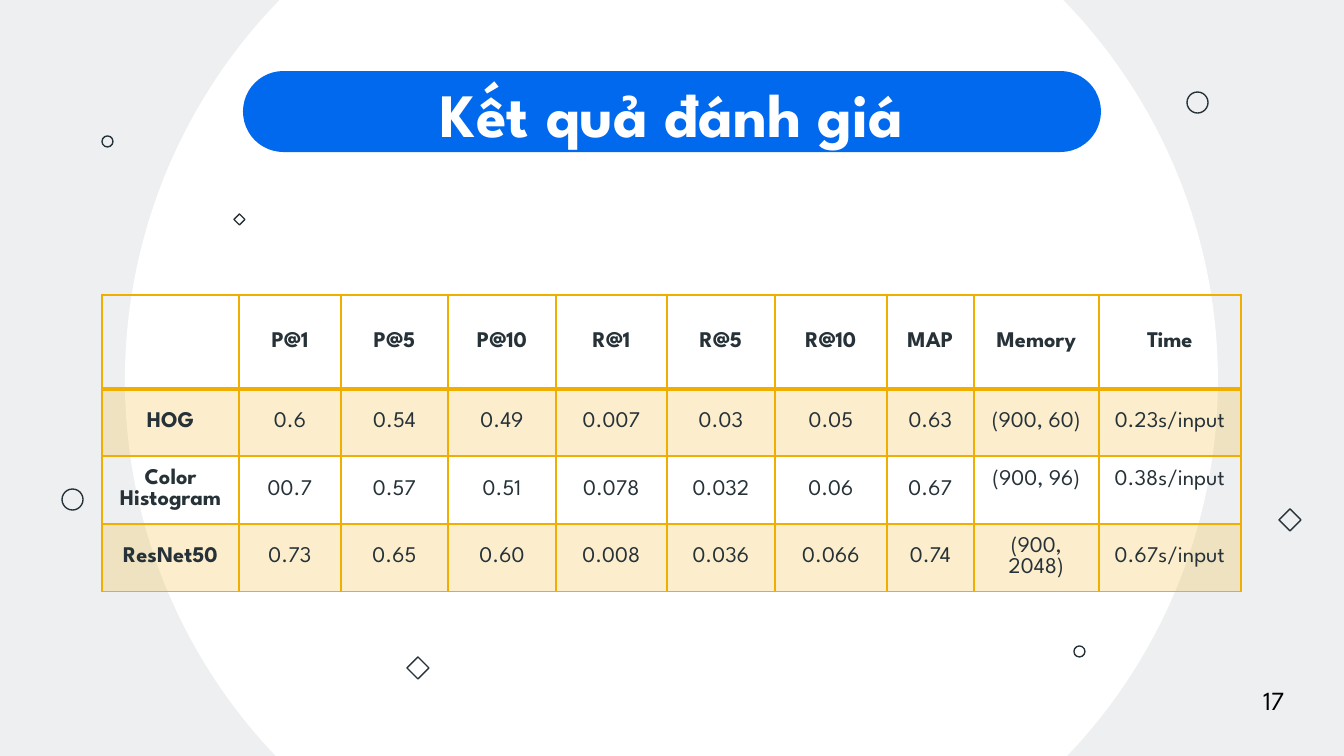
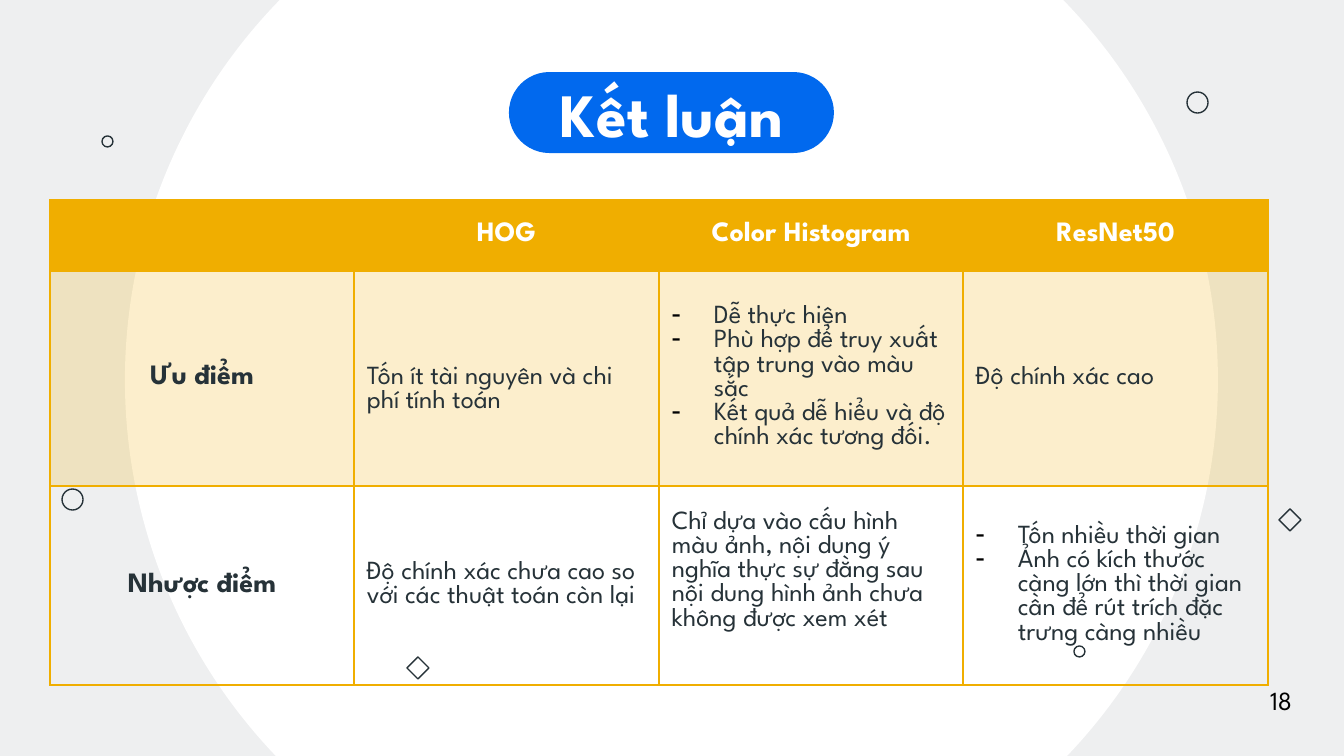
from dataclasses import dataclass

from lxml import etree
from pptx import Presentation
from pptx.dml.color import RGBColor
from pptx.enum.shapes import MSO_SHAPE
from pptx.enum.text import MSO_ANCHOR, MSO_AUTO_SIZE, PP_ALIGN
from pptx.oxml.ns import qn
from pptx.util import Emu, Pt

ELLIPSE, DIAMOND, PILL = MSO_SHAPE.OVAL, MSO_SHAPE.DIAMOND, MSO_SHAPE.ROUNDED_RECTANGLE
LEFT, CENTER = PP_ALIGN.LEFT, PP_ALIGN.CENTER
TOP, MIDDLE = MSO_ANCHOR.TOP, MSO_ANCHOR.MIDDLE

EMU_PER_PX = 914400 / 134.4
PAGE_WIDTH, PAGE_HEIGHT = 1344, 756
FONT = "League Spartan"
INK, BLUE, AMBER = "263238", "0169EE", "F0AE00"
WHITE, BLACK, GREY = "FFFFFF", "000000", "EEEFF0"
BAND_ALPHA = 20
PAD_X, PAD_Y = 13, 7
BULLET_INDENT = 42


@dataclass(frozen=True)
class Box:
    left: int
    top: int
    width: int
    height: int


@dataclass(frozen=True)
class Style:
    size: int
    color: str = INK
    bold: bool = False
    align: PP_ALIGN = CENTER


@dataclass(frozen=True)
class Ornament:
    kind: MSO_SHAPE
    left: int
    top: int
    size: int


@dataclass(frozen=True)
class Entry:
    """Cell text; the drops push it down or up from the middle of its row."""
    lines: tuple[str, ...]
    style: Style
    bulleted: bool = False
    pad_top: int = PAD_Y
    pad_bottom: int = PAD_Y


@dataclass(frozen=True)
class Grid:
    left: int
    top: int
    widths: tuple[int, ...]
    heights: tuple[int, ...]
    rows: list[list[Entry]]
    header_fill: str | None = None


TITLE_BOX = Box(261, 78, 822, 70)
TITLE_STYLE = Style(33, WHITE, bold=True)
NUMBER_STYLE = Style(14, BLACK, align=LEFT)
DISC = Box(125, -165, 1093, 1090)
ORNAMENTS = (
    Ornament(ELLIPSE, 1074, 646, 11),
    Ornament(DIAMOND, 1279, 509, 22),
    Ornament(DIAMOND, 234, 214, 11),
    Ornament(DIAMOND, 407, 657, 22),
    Ornament(ELLIPSE, 102, 136, 11),
    Ornament(ELLIPSE, 62, 489, 21),
    Ornament(ELLIPSE, 1187, 92, 21),
)


def px(length: int) -> Emu:
    return Emu(round(length * EMU_PER_PX))


def rgb(color: str) -> RGBColor:
    return RGBColor.from_string(color)


def paint(fill, color: str | None) -> None:
    if color is None:
        fill.background()
    else:
        fill.solid()
        fill.fore_color.rgb = rgb(color)


def add_child(parent, tag: str, **attributes: str):
    return etree.SubElement(parent, qn(tag), attributes)


def add_figure(page, kind: MSO_SHAPE, box: Box, fill: str | None = None, line: str | None = None):
    shape = page.shapes.add_shape(kind, px(box.left), px(box.top), px(box.width), px(box.height))
    shape.shadow.inherit = False
    paint(shape.fill, fill)
    paint(shape.line.fill, line)
    if line:
        shape.line.width = Pt(0.75)
    return shape


def write(para, text: str, style: Style) -> None:
    para.alignment = style.align
    span = para.add_run()
    span.text = text
    span.font.name = FONT
    span.font.size = Pt(style.size)
    span.font.bold = style.bold
    span.font.color.rgb = rgb(style.color)


def add_text(page, box: Box, text: str, style: Style, pad_y: int, anchor: MSO_ANCHOR):
    shape = page.shapes.add_textbox(px(box.left), px(box.top), px(box.width), px(box.height))
    frame = shape.text_frame
    frame.word_wrap = True
    frame.vertical_anchor = anchor
    frame.margin_left = frame.margin_right = px(PAD_X)
    frame.margin_top = frame.margin_bottom = px(pad_y)
    write(frame.paragraphs[0], text, style)
    return frame


def add_dash(para) -> None:
    """Give the paragraph a hanging black dash."""
    properties = para._p.get_or_add_pPr()
    indent = px(BULLET_INDENT)
    properties.set("marL", str(indent))
    properties.set("indent", str(-indent))
    add_child(add_child(properties, "a:buClr"), "a:srgbClr", val=BLACK)
    add_child(properties, "a:buChar", char="-")


def border_cell(cell, top: int, bottom: int) -> None:
    """Draw amber borders; top and bottom are widths in points."""
    properties = cell._tc.get_or_add_tcPr()
    widths = {"a:lnL": 1, "a:lnR": 1, "a:lnT": top, "a:lnB": bottom}
    for position, (tag, width) in enumerate(widths.items()):
        line = etree.Element(qn(tag), {"w": str(Pt(width))})
        add_child(add_child(line, "a:solidFill"), "a:srgbClr", val=AMBER)
        properties.insert(position, line)


def fill_cell(cell, row: int, header_fill: str | None) -> None:
    banded = row % 2 == 1
    paint(cell.fill, AMBER if banded else header_fill if row == 0 else None)
    if banded:
        color = cell._tc.tcPr.find(".//" + qn("a:srgbClr"))
        add_child(color, "a:alpha", val=str(BAND_ALPHA * 1000))


def write_cell(cell, entry: Entry) -> None:
    cell.vertical_anchor = MIDDLE
    cell.margin_left = cell.margin_right = px(PAD_X)
    cell.margin_top, cell.margin_bottom = px(entry.pad_top), px(entry.pad_bottom)
    frame = cell.text_frame
    for index, text in enumerate(entry.lines):
        para = frame.add_paragraph() if index else frame.paragraphs[0]
        write(para, text, entry.style)
        if entry.bulleted:
            add_dash(para)


def add_grid(page, grid: Grid) -> None:
    frame = page.shapes.add_table(
        len(grid.heights), len(grid.widths), px(grid.left), px(grid.top),
        px(sum(grid.widths)), px(sum(grid.heights)))
    table = frame.table
    table.first_row = table.horz_banding = False
    for column, width in zip(table.columns, grid.widths):
        column.width = px(width)
    for row, height in zip(table.rows, grid.heights):
        row.height = px(height)
    for row, entries in enumerate(grid.rows):
        for column, entry in enumerate(entries):
            cell = table.cell(row, column)
            write_cell(cell, entry)
            fill_cell(cell, row, grid.header_fill)
            border_cell(cell, top=2 if row == 1 else 1, bottom=2 if row == 0 else 1)


def add_page(deck, title: str, pill: Box, grid: Grid, number: str, number_left: int) -> None:
    page = deck.slides.add_slide(deck.slide_layouts[6])
    paint(page.background.fill, GREY)
    add_figure(page, ELLIPSE, DISC, fill=WHITE)
    for item in ORNAMENTS:
        add_figure(page, item.kind, Box(item.left, item.top, item.size, item.size), line=INK)
    add_figure(page, PILL, pill, fill=BLUE).adjustments[0] = 0.5
    add_text(page, TITLE_BOX, title, TITLE_STYLE, PAD_X, MIDDLE)
    add_grid(page, grid)
    frame = add_text(page, Box(number_left, 677, 75, 46), number, NUMBER_STYLE, PAD_Y, TOP)
    frame.auto_size = MSO_AUTO_SIZE.SHAPE_TO_FIT_TEXT


def results_grid() -> Grid:
    label, value = Style(12, bold=True), Style(12)
    header = ("P@1", "P@5", "P@10", "R@1", "R@5", "R@10", "MAP", "Memory", "Time")
    results = {
        "HOG": ("0.6", "0.54", "0.49", "0.007", "0.03", "0.05", "0.63",
                "(900, 60)", "0.23s/input"),
        "Color Histogram": ("00.7", "0.57", "0.51", "0.078", "0.032", "0.06", "0.67",
                            "(900, 96)", "0.38s/input"),
        "ResNet50": ("0.73", "0.65", "0.60", "0.008", "0.036", "0.066", "0.74",
                     "(900, 2048)", "0.67s/input"),
    }
    raised = ("(900, 96)", "0.38s/input")
    rows = [[Entry((), label)] + [Entry((name,), label) for name in header]]
    for method, numbers in results.items():
        rows.append([Entry((method,), label)] + [
            Entry((text,), value, pad_bottom=PAD_Y + (20 if text in raised else 0))
            for text in numbers])
    return Grid(102, 295, (137, 102, 107, 108, 111, 108, 112, 87, 125, 142),
                (94, 67, 67, 67), rows)


def conclusion_grid() -> Grid:
    header, label = Style(15, WHITE, bold=True), Style(15, bold=True)
    body = Style(14, align=LEFT)
    rows = [
        [Entry((), header)] + [
            Entry((method,), header) for method in ("HOG", "Color Histogram", "ResNet50")],
        [
            Entry(("Ưu điểm",), label),
            Entry(("Tốn ít tài nguyên và chi phí tính toán",), body, pad_top=PAD_Y + 24),
            Entry(("Dễ thực hiện",
                   "Phù hợp để truy xuất tập trung vào màu sắc",
                   "Kết quả dễ hiểu và độ chính xác tương đối."), body, bulleted=True),
            Entry(("Độ chính xác cao",), body),
        ],
        [
            Entry(("Nhược điểm",), label),
            Entry(("Độ chính xác chưa cao so với các thuật toán còn lại",), body),
            Entry(("Chỉ dựa vào cấu hình màu ảnh, nội dung ý nghĩa thực sự đằng sau "
                   "nội dung hình ảnh chưa không được xem xét",), body, pad_bottom=PAD_Y + 28),
            Entry(("Tốn nhiều thời gian",
                   "Ảnh có kích thước càng lớn thì thời gian cần để rút trích đặc trưng "
                   "càng nhiều"), body, bulleted=True),
        ],
    ]
    return Grid(50, 200, (304, 305, 304, 305), (70, 216, 187), rows, header_fill=AMBER)


def main() -> None:
    deck = Presentation()
    deck.slide_width, deck.slide_height = px(PAGE_WIDTH), px(PAGE_HEIGHT)
    add_page(deck, "Kết quả đánh giá", Box(243, 71, 858, 81), results_grid(), "17", 1250)
    add_page(deck, "Kết luận", Box(509, 72, 325, 81), conclusion_grid(), "18", 1257)
    deck.save("out.pptx")


if __name__ == "__main__":
    main()
